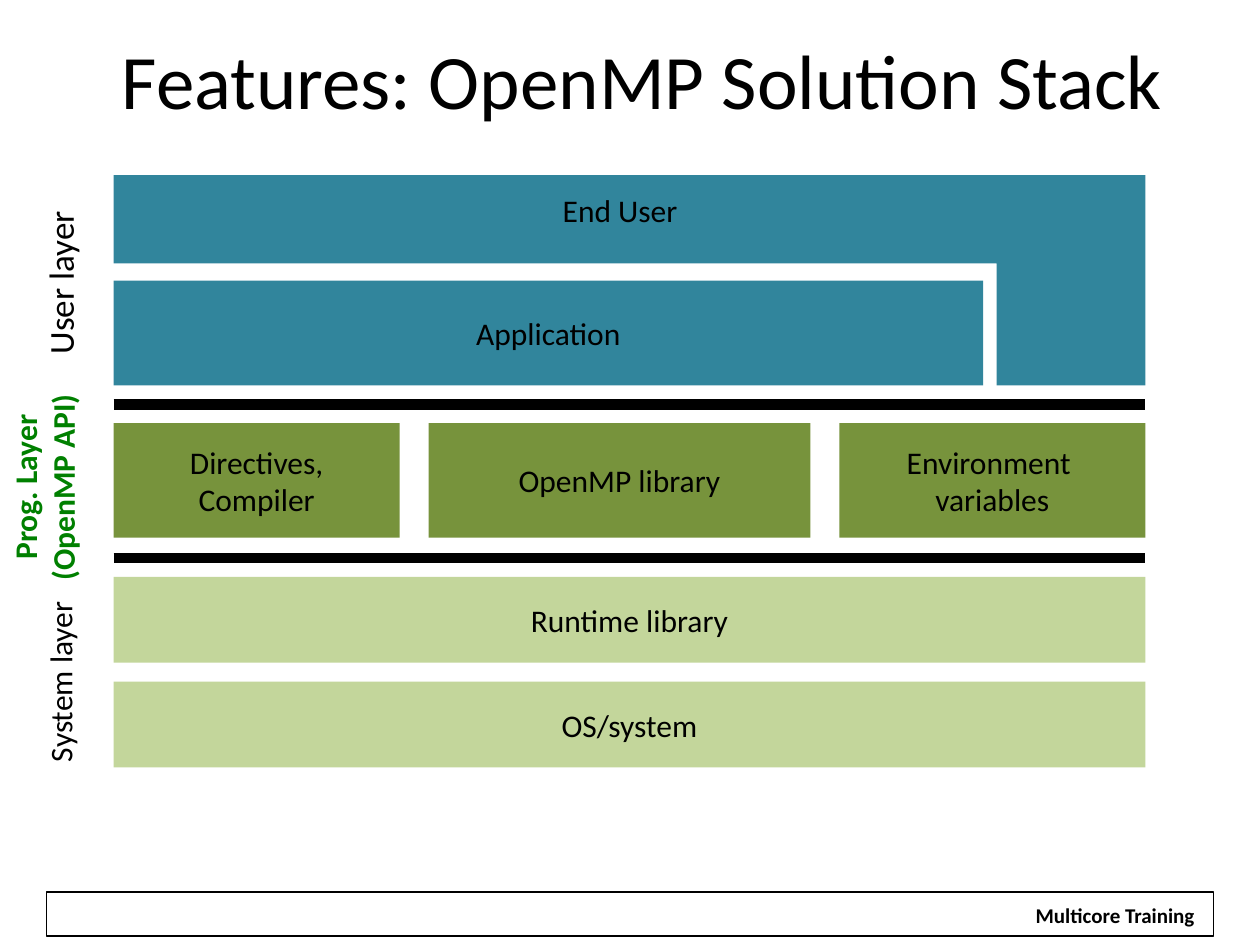
from dataclasses import dataclass

from lxml import etree
from pptx import Presentation
from pptx.dml.color import RGBColor
from pptx.enum.shapes import MSO_CONNECTOR, MSO_SHAPE
from pptx.enum.text import MSO_ANCHOR, PP_ALIGN
from pptx.oxml.ns import qn
from pptx.shapes.autoshape import Shape
from pptx.slide import Slide
from pptx.text.text import TextFrame
from pptx.util import Cm, Pt

CENTER, LEFT = PP_ALIGN.CENTER, PP_ALIGN.LEFT
MIDDLE, TOP = MSO_ANCHOR.MIDDLE, MSO_ANCHOR.TOP
RECTANGLE = MSO_SHAPE.RECTANGLE
STRAIGHT = MSO_CONNECTOR.STRAIGHT


@dataclass(frozen=True)
class Theme:
    """Colours and type sizes of the slide."""
    font: str = "Calibri"
    ink: RGBColor = RGBColor(0, 0, 0)
    paper: RGBColor = RGBColor(255, 255, 255)
    user: RGBColor = RGBColor(0x31, 0x85, 0x9C)
    programming: RGBColor = RGBColor(0x77, 0x93, 0x3C)
    system: RGBColor = RGBColor(0xC3, 0xD6, 0x9B)
    accent: RGBColor = RGBColor(0, 0x80, 0)
    title_size: int = 44
    label_size: int = 20
    body_size: int = 18
    footer_size: int = 12


@dataclass(frozen=True)
class Block:
    """A filled block of the stack; lengths in centimetres."""
    text: str
    left: float
    top: float
    width: float
    height: float
    fill: RGBColor


@dataclass(frozen=True)
class Label:
    """A text box; lengths in centimetres."""
    text: str
    left: float
    top: float
    width: float
    height: float
    size: int
    align: PP_ALIGN = LEFT
    color: RGBColor = RGBColor(0, 0, 0)
    bold: bool = False
    rotation: float = 270


THEME = Theme()
STACK_LEFT, STACK_WIDTH = 2.29, 20.8
STACK_RIGHT = STACK_LEFT + STACK_WIDTH
USER_TOP, USER_BOTTOM = 3.53, 7.77
NOTCH_LEFT, NOTCH_TOP = 20.09, 5.31
COMPONENT_GAP = 0.58
COMPONENTS = (("Directives,\nCompiler", 5.77), ("OpenMP library", 7.7),
              ("Environment \vvariables", 6.17))
SYSTEM_ROWS = (("Runtime library", 11.63), ("OS/system", 13.74))
DIVIDERS = (8.15, 11.25)
LABELS = (
    Label("End User", 6.91, 3.73, 11.18, 1.32, THEME.body_size, CENTER, rotation=0),
    Label("User layer", -0.61, 5.0, 3.66, 1.12, THEME.label_size),
    Label("Prog. Layer (OpenMP API)", -1.65, 8.92, 5.08, 1.8, THEME.body_size,
          CENTER, THEME.accent, True),
    Label("System layer", -0.91, 12.98, 4.24, 1.02, THEME.body_size),
)


def write(frame: TextFrame, text: str, size: int, align: PP_ALIGN = CENTER,
          anchor: MSO_ANCHOR = MIDDLE, color: RGBColor = THEME.ink,
          bold: bool = False, wrap: bool = True) -> None:
    """Fill a text frame and format its paragraphs."""
    frame.text = text
    frame.word_wrap = wrap
    frame.vertical_anchor = anchor
    for paragraph in frame.paragraphs:
        paragraph.alignment = align
        paragraph.font.name = THEME.font
        paragraph.font.size = Pt(size)
        paragraph.font.bold = bold
        paragraph.font.color.rgb = color


def paint(shape: Shape, fill: RGBColor) -> None:
    """Give a shape a flat fill without outline or shadow."""
    shape.shadow.inherit = False
    shape.fill.solid()
    shape.fill.fore_color.rgb = fill
    shape.line.fill.background()


def add_block(slide: Slide, block: Block) -> None:
    """Draw one captioned block."""
    shape = slide.shapes.add_shape(RECTANGLE, Cm(block.left), Cm(block.top),
                                   Cm(block.width), Cm(block.height))
    paint(shape, block.fill)
    write(shape.text_frame, block.text, THEME.body_size, wrap=False)


def add_end_user(slide: Slide) -> None:
    """Draw the end-user outline that wraps around the application."""
    corners = [(Cm(x), Cm(y)) for x, y in (
        (STACK_LEFT, USER_TOP), (STACK_RIGHT, USER_TOP),
        (STACK_RIGHT, USER_BOTTOM), (NOTCH_LEFT, USER_BOTTOM),
        (NOTCH_LEFT, NOTCH_TOP), (STACK_LEFT, NOTCH_TOP))]
    builder = slide.shapes.build_freeform(*corners[0])
    builder.add_line_segments(corners[1:], close=True)
    paint(builder.convert_to_shape(), THEME.user)


def add_divider(slide: Slide, y: float) -> None:
    """Draw a thick rule between two layers."""
    rule = slide.shapes.add_connector(STRAIGHT, Cm(STACK_LEFT), Cm(y),
                                      Cm(STACK_RIGHT), Cm(y))
    rule.line.color.rgb = THEME.ink
    rule.line.width = Pt(6)
    etree.SubElement(rule.line._get_or_add_ln().getparent(), qn("a:effectLst"))


def add_label(slide: Slide, label: Label) -> None:
    """Draw a text box, turned if the label asks for it."""
    box = slide.shapes.add_textbox(Cm(label.left), Cm(label.top),
                                   Cm(label.width), Cm(label.height))
    box.rotation = label.rotation
    write(box.text_frame, label.text, label.size, label.align, TOP,
          label.color, label.bold)


def add_footer(slide: Slide) -> None:
    """Draw the footer frame and its caption."""
    frame = slide.shapes.add_shape(RECTANGLE, Cm(0.94), Cm(17.98), Cm(23.52), Cm(0.89))
    frame.shadow.inherit = False
    frame.fill.background()
    frame.line.color.rgb = THEME.ink
    frame.line.width = Pt(0.75)
    caption = slide.shapes.add_shape(RECTANGLE, Cm(20.6), Cm(18.06), Cm(3.76), Cm(0.76))
    paint(caption, THEME.paper)
    write(caption.text_frame, "Multicore Training", THEME.footer_size,
          anchor=TOP, bold=True, wrap=False)


def add_title(slide: Slide) -> None:
    """Place and format the title."""
    title = slide.shapes.title
    title.left, title.top, title.width, title.height = Cm(0.51), Cm(0), Cm(24.89), Cm(3.18)
    write(title.text_frame, "Features: OpenMP Solution Stack", THEME.title_size)


def main() -> None:
    """Build and save the slide."""
    deck = Presentation()
    deck.slide_width, deck.slide_height = Cm(25.4), Cm(19.05)
    slide = deck.slides.add_slide(deck.slide_layouts[5])
    add_footer(slide)
    add_title(slide)
    for text, top in SYSTEM_ROWS:
        add_block(slide, Block(text, STACK_LEFT, top, STACK_WIDTH, 1.73, THEME.system))
    left = STACK_LEFT
    for text, width in COMPONENTS:
        add_block(slide, Block(text, left, 8.53, width, 2.31, THEME.programming))
        left += width + COMPONENT_GAP
    add_block(slide, Block("Application", STACK_LEFT, 5.66, 17.53, 2.11, THEME.user))
    add_end_user(slide)
    for y in DIVIDERS:
        add_divider(slide, y)
    for label in LABELS:
        add_label(slide, label)
    deck.save("out.pptx")


main()
